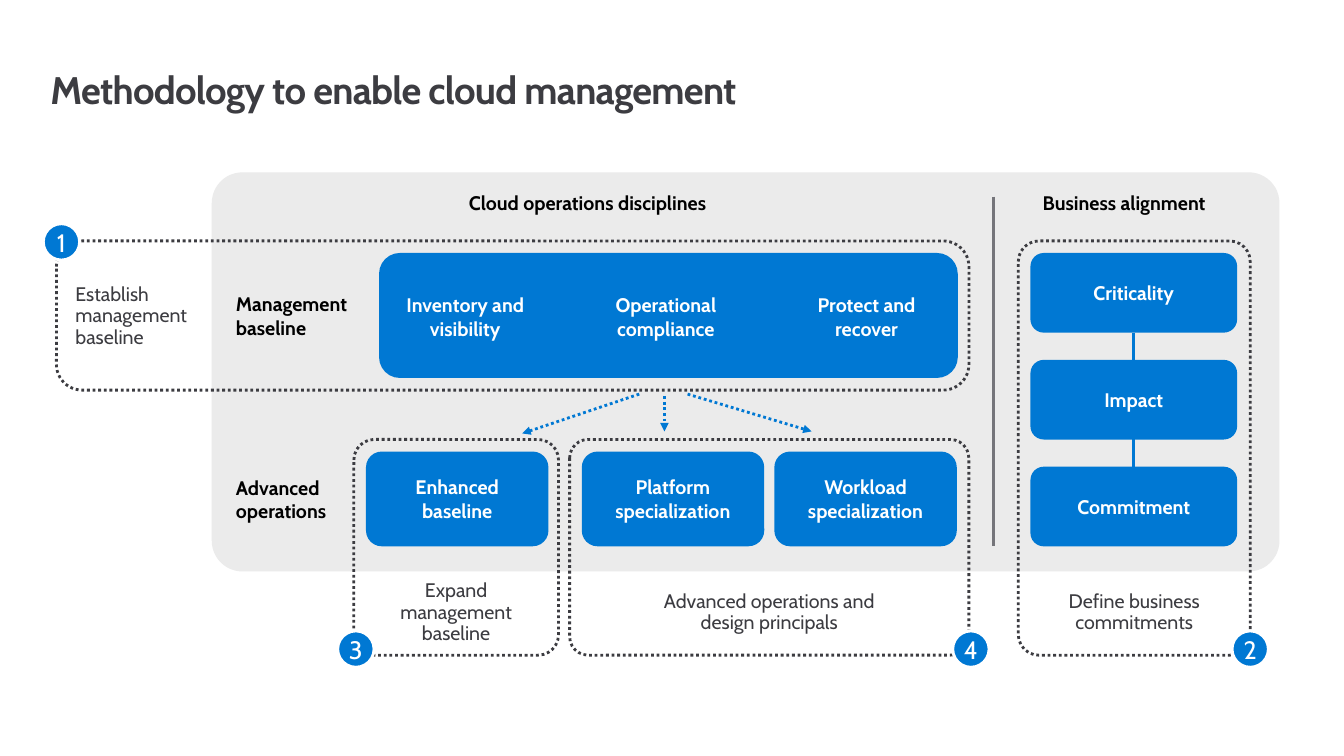
from dataclasses import dataclass
from typing import NamedTuple

from lxml.etree import SubElement
from pptx import Presentation
from pptx.dml.color import RGBColor
from pptx.enum.dml import MSO_LINE
from pptx.enum.shapes import MSO_CONNECTOR, MSO_SHAPE
from pptx.enum.text import MSO_ANCHOR, PP_ALIGN
from pptx.oxml.ns import qn
from pptx.util import Inches, Pt


@dataclass(frozen=True)
class Theme:
    font: str = "Cabin"
    blue: str = "0078D3"
    dark: str = "3C3C41"
    panel: str = "EBEBEB"
    rule: str = "75757A"
    white: str = "FFFFFF"
    black: str = "000000"
    title_size: float = 27.4
    badge_size: float = 18
    text_size: float = 14
    line_width: float = 2


class Box(NamedTuple):
    x: float
    y: float
    w: float
    h: float

    def inner(self, dx, dy, w, h):
        return Box(self.x + dx, self.y + dy, w, h)

    def inches(self):
        return [Inches(v) for v in self]


THEME = Theme()


def set_text(sp, lines, color, size=THEME.text_size, bold=False,
             align=PP_ALIGN.LEFT, spacing=None, insets=(0, 0, 0, 0),
             anchor=MSO_ANCHOR.MIDDLE, wrap=True):
    """Write one paragraph per line; insets run left, top, right, bottom."""
    tf = sp.text_frame
    tf.word_wrap = wrap
    tf.vertical_anchor = anchor
    (tf.margin_left, tf.margin_top,
     tf.margin_right, tf.margin_bottom) = [Inches(v) for v in insets]
    tf.text = "\n".join(lines)
    for p in tf.paragraphs:
        p.alignment = align
        if spacing:
            p.line_spacing = spacing
        p.font.name = THEME.font
        p.font.size = Pt(size)
        p.font.bold = bold
        p.font.color.rgb = RGBColor.from_string(color)


def set_line(line, color, dotted=False):
    line.color.rgb = RGBColor.from_string(color)
    line.width = Pt(THEME.line_width)
    if dotted:
        line.dash_style = MSO_LINE.ROUND_DOT


def add_block(slide, box, fill=None, line=None, dotted=False, corner=None,
              kind=MSO_SHAPE.ROUNDED_RECTANGLE):
    sp = slide.shapes.add_shape(kind, *box.inches())
    sp.shadow.inherit = False
    if corner is not None:
        sp.adjustments[0] = corner
    if fill:
        sp.fill.solid()
        sp.fill.fore_color.rgb = RGBColor.from_string(fill)
    else:
        sp.fill.background()
    if line:
        set_line(sp.line, line, dotted)
    else:
        sp.line.fill.background()
    return sp


def add_label(slide, box, *lines, color=THEME.black, **style):
    set_text(slide.shapes.add_textbox(*box.inches()), lines, color, **style)


def add_heading(slide, box, *lines):
    add_label(slide, box, *lines, bold=True, anchor=MSO_ANCHOR.TOP, wrap=False)


def add_caption(slide, box, text, align=PP_ALIGN.CENTER):
    add_label(slide, box, text, color=THEME.dark, align=align, spacing=0.9,
              insets=(0.1, 0.05, 0.1, 0.05))


def add_card(slide, box, name):
    sp = add_block(slide, box, THEME.blue)
    set_text(sp, [name], THEME.white, bold=True, align=PP_ALIGN.CENTER,
             insets=(0.2, 0.16, 0.2, 0.16))
    return sp


def add_connector(slide, start, end, color, dotted=False, arrow=False):
    cx = slide.shapes.add_connector(
        MSO_CONNECTOR.STRAIGHT, *[Inches(v) for v in (*start, *end)])
    set_line(cx.line, color, dotted)
    if arrow:
        SubElement(cx.line._get_or_add_ln(), qn("a:tailEnd"), type="triangle")
    SubElement(cx._element.spPr, qn("a:effectLst"))
    return cx


def add_frame(slide, box, number, corner, badge_x, badge_y):
    """Draw a dotted outline and its numbered badge, centred at the offset given."""
    add_block(slide, box, line=THEME.dark, dotted=True, corner=corner)
    d = 0.36
    badge = add_block(slide, box.inner(badge_x - d / 2, badge_y - d / 2, d, d),
                      THEME.blue, THEME.white, kind=MSO_SHAPE.OVAL)
    set_text(badge, [str(number)], THEME.white, THEME.badge_size,
             align=PP_ALIGN.CENTER, spacing=0.9, insets=(0, 0.05, 0, 0))


def add_bottom_caption(slide, box, text, width):
    add_caption(slide, box.inner((box.w - width) / 2, box.h - 0.79, width, 0.74), text)


def add_title(slide, box, text):
    title = slide.shapes.title
    title.left, title.top, title.width, title.height = box.inches()
    set_text(title, [text], THEME.dark, THEME.title_size, bold=True,
             spacing=Pt(31.4), anchor=MSO_ANCHOR.TOP)
    p = title.text_frame.paragraphs[0]
    p._p.get_or_add_pPr().get_or_add_defRPr().set("spc", "-50")


def add_panel(slide, box):
    add_block(slide, box, THEME.panel, corner=0.077)
    add_heading(slide, box.inner(2.55, 0.18, 2.59, 0.24), "Cloud operations disciplines")
    add_heading(slide, box.inner(8.24, 0.18, 1.78, 0.24), "Business alignment")
    add_heading(slide, box.inner(0.24, 3.01, 0.99, 0.47), "Advanced", "operations")
    rule_x = box.x + 7.75
    add_connector(slide, (rule_x, box.y + 0.24), (rule_x, box.y + 3.71), THEME.rule)


def add_baseline(slide, box):
    add_frame(slide, box, 1, 0.172, 0.05, 0.01)
    add_caption(slide, box.inner(0.09, 0.38, 1.46, 0.74),
                "Establish management baseline", PP_ALIGN.LEFT)
    add_heading(slide, box.inner(1.78, 0.51, 1.23, 0.47), "Management", "baseline")
    add_block(slide, box.inner(3.2, 0.12, 5.74, 1.24), THEME.blue)
    names = ("Inventory and visibility", "Operational compliance", "Protect and recover")
    for i, name in enumerate(names):
        add_label(slide, box.inner(3.27 + 1.99 * i, 0.44, 1.57, 0.62), name,
                  color=THEME.white, bold=True, align=PP_ALIGN.CENTER)


def add_arrows(slide, box):
    """Fan three dotted arrows out from the baseline to the advanced operations."""
    for start, end in (((1.16, 0), (0, 0.39)),
                       ((1.41, 0.02), (1.41, 0.37)),
                       ((1.64, 0), (box.w, 0.37))):
        add_connector(slide, (box.x + start[0], box.y + start[1]),
                      (box.x + end[0], box.y + end[1]), THEME.blue, True, True)


def add_advanced(slide, box, number, corner, badge_x, names, caption, caption_width):
    add_frame(slide, box, number, corner, badge_x, box.h - 0.06)
    for i, name in enumerate(names):
        add_card(slide, box.inner(0.12 + 1.91 * i, 0.12, 1.81, 0.94), name)
    add_bottom_caption(slide, box, caption, caption_width)


def add_business(slide, box):
    add_frame(slide, box, 2, 0.089, box.w, box.h - 0.06)
    cards = [add_card(slide, box.inner(0.12, 0.12 + 1.06 * i, 2.05, 0.79), name)
             for i, name in enumerate(("Criticality", "Impact", "Commitment"))]
    for upper, lower in zip(cards, cards[1:]):
        cx = add_connector(slide, (0, 0), (0, 0), THEME.blue)
        cx.begin_connect(upper, 2)
        cx.end_connect(lower, 0)
    add_bottom_caption(slide, box, "Define business commitments", 1.75)


def main():
    prs = Presentation()
    prs.slide_width, prs.slide_height = Inches(13.33), Inches(7.5)
    slide = prs.slides.add_slide(prs.slide_layouts[5])
    add_title(slide, Box(0.5, 0.68, 7.86, 0.44), "Methodology to enable cloud management")
    add_panel(slide, Box(2.1, 1.71, 10.59, 3.96))
    add_baseline(slide, Box(0.56, 2.39, 9.05, 1.48))
    add_arrows(slide, Box(5.18, 3.91, 2.87, 0.39))
    add_advanced(slide, Box(3.51, 4.36, 2.03, 2.14), 3, 0.1, 0.02,
                 ["Enhanced baseline"], "Expand management baseline", 1.43)
    add_advanced(slide, Box(5.65, 4.36, 3.96, 2.14), 4, 0.086, 3.98,
                 ["Platform specialization", "Workload specialization"],
                 "Advanced operations and design principals", 2.51)
    add_business(slide, Box(10.1, 2.39, 2.3, 4.11))
    prs.save("out.pptx")


if __name__ == "__main__":
    main()
